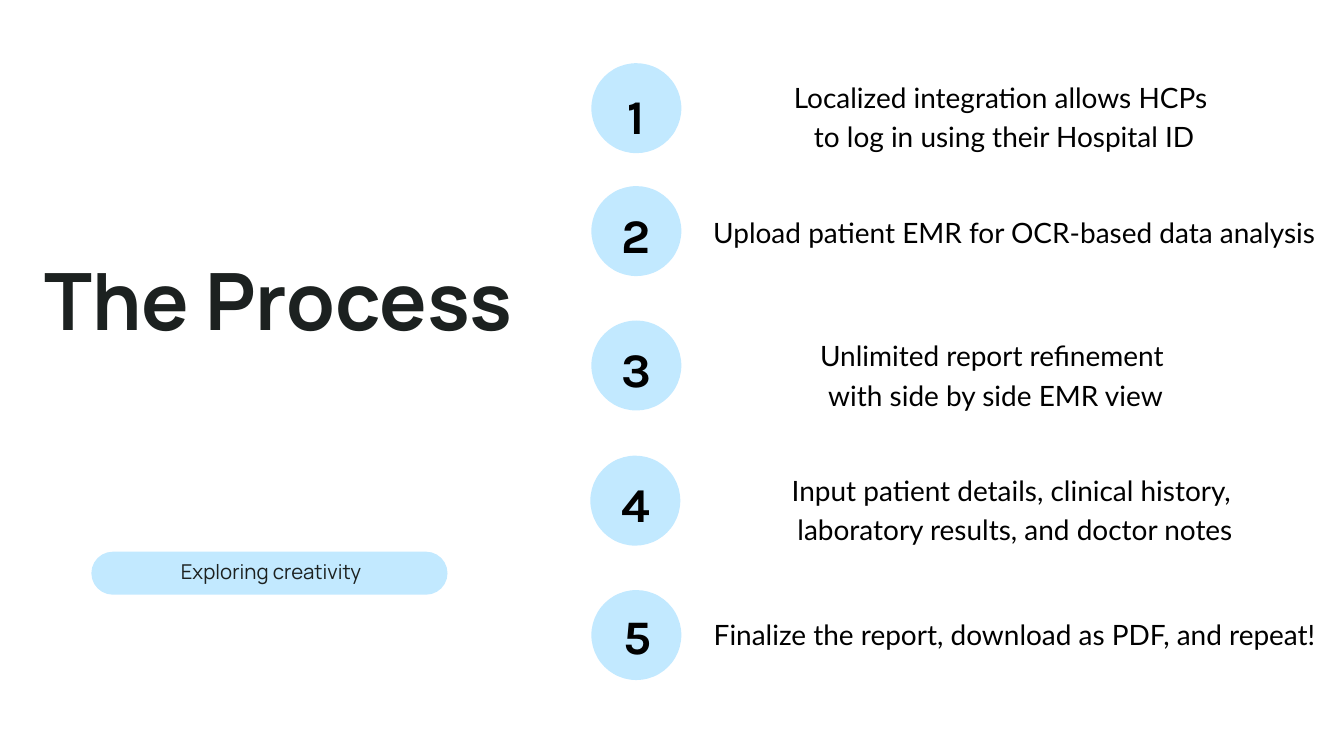
from pptx import Presentation
from pptx.dml.color import RGBColor
from pptx.enum.shapes import MSO_SHAPE as Shape
from pptx.enum.text import MSO_ANCHOR as Anchor, PP_ALIGN as Align
from pptx.util import Pt

COLORS = {"accent": "C2E9FF", "title": "1C2120", "body": "000000"}

TITLE = "The Process"
TAGLINE = "Exploring creativity"

# Each step: lines, circle (left, top), number (center, top), text (left, top, width)
STEPS = [
    (["Localized integration allows HCPs ", "to log in using their Hospital ID"],
     (633.6, 67.7), (681.8, 82.1), (749.5, 79.9, 653)),
    (["Upload patient EMR for OCR-based data analysis"],
     (633.6, 199.4), (681.8, 209.5), (760.3, 225.4, 653)),
    (["Unlimited report refinement ", "with side by side EMR view"],
     (633.6, 343.4), (681.5, 353.5), (749.5, 357.1, 634.3)),
    (["Input patient details, clinical history, ",
      "laboratory results, and doctor notes"],
     (632.5, 488.2), (681.5, 497.5), (749.5, 501.1, 676.1)),
    (["Finalize the report, download as PDF, and repeat!"],
     (633.6, 632.2), (683.2, 639.4), (749.5, 655.9, 675.4)),
]
CIRCLE_SIZE = 96.4
NUMBER_WIDTH = 60
NUMBER_HEIGHT = 69.1
LINE_HEIGHT = 42

presentation = Presentation()
presentation.slide_width = Pt(1440)
presentation.slide_height = Pt(810)
slide = presentation.slides.add_slide(presentation.slide_layouts[6])


def add_panel(kind, left, top, width, height):
    shape = slide.shapes.add_shape(kind, Pt(left), Pt(top), Pt(width), Pt(height))
    shape.shadow.inherit = False
    shape.fill.solid()
    shape.fill.fore_color.rgb = RGBColor.from_string(COLORS["accent"])
    shape.line.fill.background()
    return shape


def add_text(lines, left, top, width, height, *, font, size, spacing,
             color="body", bold=False, align=Align.CENTER):
    box = slide.shapes.add_textbox(Pt(left), Pt(top), Pt(width), Pt(height))
    frame = box.text_frame
    frame.word_wrap = True
    frame.vertical_anchor = Anchor.TOP
    frame.margin_left = frame.margin_right = frame.margin_top = frame.margin_bottom = 0
    frame.text = "\n".join(lines)
    for paragraph in frame.paragraphs:
        paragraph.alignment = align
        paragraph.line_spacing = Pt(spacing)
        paragraph.font.name = font
        paragraph.font.size = Pt(size)
        paragraph.font.bold = bold
        paragraph.font.color.rgb = RGBColor.from_string(COLORS[color])


add_text([TITLE], 47.5, 274.3, 542.9, 104.4, font="Manrope", size=84.7,
         spacing=96.6, color="title", bold=True, align=Align.LEFT)

pill = add_panel(Shape.ROUNDED_RECTANGLE, 97.9, 591.1, 381.6, 46.1)
pill.adjustments[0] = 0.5
add_text([TAGLINE], 172.1, 601.9, 236.9, 25.2, font="Manrope", size=21.9,
         spacing=23.6, color="title")

for number, (lines, circle, (center, number_top), (left, top, width)) in enumerate(STEPS, 1):
    add_panel(Shape.OVAL, *circle, CIRCLE_SIZE, CIRCLE_SIZE)
    add_text([str(number)], center - NUMBER_WIDTH / 2, number_top, NUMBER_WIDTH,
             NUMBER_HEIGHT, font="Karla", size=51.6, spacing=72.2, bold=True)
    add_text(lines, left, top, width, LINE_HEIGHT * len(lines),
             font="Lato", size=30, spacing=LINE_HEIGHT)

presentation.save("out.pptx")
